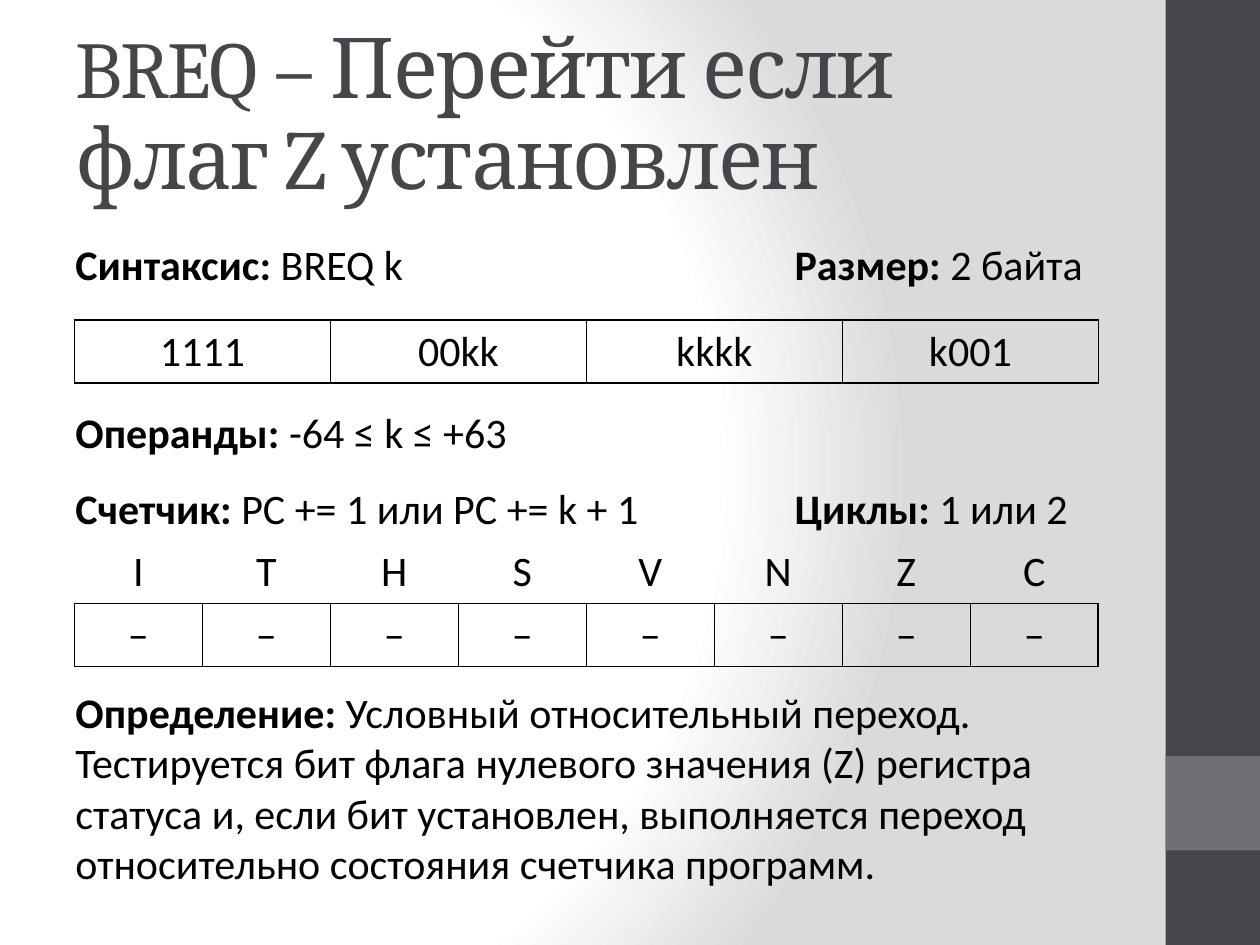
from dataclasses import dataclass

import pptx
import pptx.dml.color
import pptx.enum.shapes
import pptx.enum.text
import pptx.oxml
import pptx.oxml.ns
import pptx.util
from pptx.util import Pt


@dataclass(frozen=True)
class Theme:
    dark: str = "46464A"
    accent: str = "6F6F74"
    ink: str = "000000"
    back: str = "FFFFFF"
    back_edge: str = "DADADA"
    heading_font: str = "Cambria"
    body_font: str = "Calibri"
    title_latin: float = 46
    title_size: float = 48
    body_size: float = 24
    rule: float = 1


@dataclass(frozen=True)
class Field:
    label: str
    value: str
    left: float
    top: float
    width: float
    height: float = 36.35
    wrap: bool = False


THEME = Theme()
LEFT, RIGHT_COLUMN, TEXT_WIDTH = 36, 447, 600
TABLE_LEFT, TABLE_WIDTH, ROW_HEIGHT = 42.5, 585.2, 36

FIELDS = [
    Field("Определение: ",
          "Условный относительный переход. Тестируется бит флага нулевого "
          "значения (Z) регистра статуса и, если бит установлен, выполняется "
          "переход относительно состояния счетчика программ.",
          LEFT, 388.8, TEXT_WIDTH, 123.6, True),
    Field("Синтаксис: ", "BREQ k", LEFT, 132.5, 204.5),
    Field("Размер: ", "2 байта", RIGHT_COLUMN, 132.5, 180.7),
    Field("Счетчик: ", "PC += 1 или PC += k + 1", LEFT, 272.2, 339.8),
    Field("Операнды: ", "-64 ≤ k ≤ +63", LEFT, 229, TEXT_WIDTH, wrap=True),
    Field("Циклы: ", "1 или 2", RIGHT_COLUMN, 272.2, 172),
]
OPCODE = ["1111", "00kk", "kkkk", "k001"]
FLAGS = list("ITHSVNZC")


def add_run(p, text: str, size: float, font: str, color: str, bold: bool = False):
    r = p.add_run()
    r.text = text
    r.font.size = Pt(size)
    r.font.name = font
    r.font.bold = bold
    r.font.color.rgb = pptx.dml.color.RGBColor.from_string(color)
    return r


def set_background(s) -> None:
    stops = [(0, THEME.back), (75, THEME.back), (100, THEME.back_edge)]
    stop_xml = "".join(
        f'<a:gs pos="{pos * 1000}"><a:srgbClr val="{color}"/></a:gs>' for pos, color in stops)
    bg = pptx.oxml.parse_xml(
        f'<p:bg {pptx.oxml.ns.nsdecls("p", "a")}><p:bgPr><a:gradFill rotWithShape="1">'
        f'<a:gsLst>{stop_xml}</a:gsLst><a:path path="circle">'
        '<a:fillToRect l="20000" t="50000" r="100000" b="50000"/></a:path>'
        '</a:gradFill><a:effectLst/></p:bgPr></p:bg>')
    s.element.cSld.insert(0, bg)


def add_bar(s, top: float, height: float, color: str) -> None:
    sp = s.shapes.add_shape(pptx.enum.shapes.MSO_SHAPE.RECTANGLE,
                            Pt(666), Pt(top), Pt(54), Pt(height))
    sp.shadow.inherit = False
    sp.fill.solid()
    sp.fill.fore_color.rgb = pptx.dml.color.RGBColor.from_string(color)
    sp.line.fill.background()


def set_title(s) -> None:
    sp = s.shapes.title
    sp.left, sp.top, sp.width, sp.height = Pt(LEFT), Pt(21.6), Pt(TEXT_WIDTH), Pt(90)
    tf = sp.text_frame
    tf.word_wrap = True
    tf.auto_size = pptx.enum.text.MSO_AUTO_SIZE.NONE
    tf.vertical_anchor = pptx.enum.text.MSO_ANCHOR.MIDDLE
    p = tf.paragraphs[0]
    p.alignment = pptx.enum.text.PP_ALIGN.LEFT
    p.line_spacing = 0.9
    for text, size in [("BREQ ", THEME.title_latin),
                       ("– Перейти если флаг Z установлен", THEME.title_size)]:
        r = add_run(p, text, size, THEME.heading_font, THEME.dark)
        r.font._element.set("spc", "-100")


def add_field(s, field: Field) -> None:
    sp = s.shapes.add_textbox(Pt(field.left), Pt(field.top), Pt(field.width), Pt(field.height))
    tf = sp.text_frame
    tf.word_wrap = field.wrap
    tf.auto_size = pptx.enum.text.MSO_AUTO_SIZE.SHAPE_TO_FIT_TEXT
    p = tf.paragraphs[0]
    add_run(p, field.label, THEME.body_size, THEME.body_font, THEME.ink, bold=True)
    add_run(p, field.value, THEME.body_size, THEME.body_font, THEME.ink)


def set_borders(cell, sides: str) -> None:
    tc_pr = cell._tc.get_or_add_tcPr()
    for side in "LRTB":
        if side in sides:
            fill = f'<a:solidFill><a:srgbClr val="{THEME.ink}"/></a:solidFill>'
        else:
            fill = "<a:noFill/>"
        tc_pr.append(pptx.oxml.parse_xml(
            f'<a:ln{side} {pptx.oxml.ns.nsdecls("a")} w="{Pt(THEME.rule)}">{fill}</a:ln{side}>'))


def add_grid(s, top: float, rows: list[list[str]]) -> None:
    """Draw a table whose last row is boxed and whose earlier rows are plain headings."""
    columns = len(rows[0])
    table = s.shapes.add_table(len(rows), columns, Pt(TABLE_LEFT), Pt(top),
                               Pt(TABLE_WIDTH), Pt(ROW_HEIGHT * len(rows))).table
    table.first_row = table.horz_banding = False
    for column in table.columns:
        column.width = Pt(TABLE_WIDTH / columns)
    for i, row in enumerate(rows):
        for j, text in enumerate(row):
            cell = table.cell(i, j)
            set_borders(cell, "LRTB" if i == len(rows) - 1 else "B")
            cell.fill.background()
            p = cell.text_frame.paragraphs[0]
            p.alignment = pptx.enum.text.PP_ALIGN.CENTER
            add_run(p, text, THEME.body_size, THEME.body_font, THEME.ink)


def main() -> None:
    prs = pptx.Presentation()
    prs.slide_width, prs.slide_height = Pt(720), Pt(540)
    s = prs.slides.add_slide(prs.slide_layouts[5])

    # Backdrop and side bar
    set_background(s)
    add_bar(s, 0, 540, THEME.dark)
    add_bar(s, 432, 54, THEME.accent)

    # Title and labelled facts
    set_title(s)
    for field in FIELDS:
        add_field(s, field)

    # Opcode bits and status flags
    add_grid(s, 182.9, [OPCODE])
    add_grid(s, 308.9, [FLAGS, ["–"] * len(FLAGS)])

    prs.save("out.pptx")


if __name__ == "__main__":
    main()
